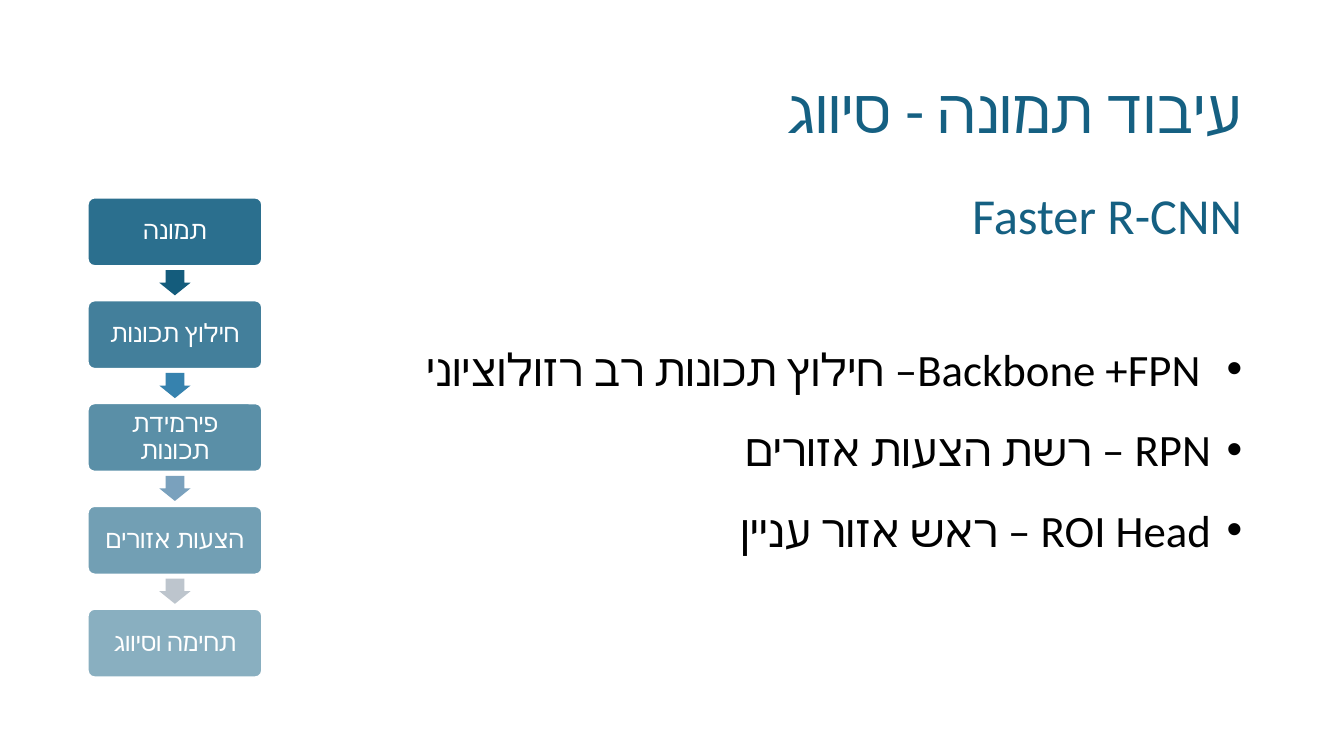
import pptx
import pptx.util
import pptx.dml.color
import pptx.enum.shapes
import pptx.enum.text
import pptx.oxml.ns
import lxml.etree

TITLE = "עיבוד תמונה - סיווג"
SUBTITLE = "Faster R-CNN"
BULLETS = [
    " Backbone +FPN– חילוץ תכונות רב רזולוציוני",
    "RPN – רשת הצעות אזורים",
    "ROI Head – ראש אזור עניין",
]
STAGES = ["תמונה", "חילוץ תכונות", "פירמידת תכונות", "הצעות אזורים", "תחימה וסיווג"]
ARROW_COLORS = ["145C7C", "3682AE", "7AA1BD", "BDC5CD"]
COLORS = {"teal": "156082", "white": "FFFFFF", "black": "000000"}

PX = 9144
STAGE_LEFT, STAGE_TOP, STAGE_WIDTH, STAGE_HEIGHT, STAGE_PITCH = 87, 196, 173, 68, 102
ARROW_WIDTH, ARROW_HEIGHT = 31, 25

SHAPES = pptx.enum.shapes.MSO_SHAPE
ALIGN = pptx.enum.text.PP_ALIGN
ANCHOR = pptx.enum.text.MSO_ANCHOR
qn = pptx.oxml.ns.qn


def px(*lengths):
    return [pptx.util.Emu(length * PX) for length in lengths]


def rgb(value):
    return pptx.dml.color.RGBColor.from_string(value)


def write(box, lines, *, size, color, font="Calibri", align=ALIGN.RIGHT,
          anchor=ANCHOR.MIDDLE, spacing=0.9, bullet=None, inset=None):
    frame = box.text_frame
    frame.word_wrap = True
    frame.vertical_anchor = anchor
    if inset is not None:
        frame.margin_left, frame.margin_top, frame.margin_right, frame.margin_bottom = px(*[inset] * 4)
    for index, line in enumerate(lines):
        para = frame.add_paragraph() if index else frame.paragraphs[0]
        para.alignment = align
        para.line_spacing = spacing
        properties = para._p.get_or_add_pPr()
        properties.set("rtl", "1")
        if bullet:
            properties.set("marL", str(31 * PX))
            properties.set("indent", str(-31 * PX))
            lxml.etree.SubElement(properties, qn("a:buFont")).set("typeface", "Arial")
            lxml.etree.SubElement(properties, qn("a:buChar")).set("char", bullet)
        span = para.add_run()
        span.text = line
        span.font.size = pptx.util.Pt(size)
        span.font.name = font
        span.font.color.rgb = rgb(color)
        lxml.etree.SubElement(span._r.get_or_add_rPr(), qn("a:cs")).set("typeface", font)


def add_shape(page, kind, place, color, adjustments):
    shape = page.shapes.add_shape(kind, *px(*place))
    shape.shadow.inherit = False
    shape.fill.solid()
    shape.fill.fore_color.rgb = rgb(color)
    shape.line.fill.background()
    for index, value in enumerate(adjustments):
        shape.adjustments[index] = value
    return shape


def add_stage(page, index, label):
    top = STAGE_TOP + index * STAGE_PITCH
    stage = add_shape(page, SHAPES.ROUNDED_RECTANGLE,
                      (STAGE_LEFT, top, STAGE_WIDTH, STAGE_HEIGHT), COLORS["teal"], [0.1])
    fill_color = stage.fill._xPr.find(qn("a:solidFill"))[0]
    lxml.etree.SubElement(fill_color, qn("a:alpha")).set("val", str(90000 - 10000 * index))
    stage.line.color.rgb = rgb(COLORS["white"])
    stage.line.width = pptx.util.Pt(1.5)
    write(stage, [label], size=18, color=COLORS["white"], font="Cabin", align=ALIGN.CENTER, inset=9)


def add_arrow(page, index, color):
    gap = STAGE_PITCH - STAGE_HEIGHT
    left = STAGE_LEFT + (STAGE_WIDTH - ARROW_WIDTH) // 2
    top = STAGE_TOP + index * STAGE_PITCH + STAGE_HEIGHT + (gap - ARROW_HEIGHT) // 2
    add_shape(page, SHAPES.DOWN_ARROW, (left, top, ARROW_WIDTH, ARROW_HEIGHT), color, [0.6, 0.5])


def main():
    deck = pptx.Presentation()
    deck.slide_width, deck.slide_height = px(1333, 750)
    page = deck.slides.add_slide(deck.slide_layouts[6])

    subtitle = page.shapes.add_textbox(*px(92, 162, 1150, 108))
    write(subtitle, [SUBTITLE], size=36, color=COLORS["teal"])
    for index, label in enumerate(STAGES):
        add_stage(page, index, label)
    for index, color in enumerate(ARROW_COLORS):
        add_arrow(page, index, color)
    bullets = page.shapes.add_textbox(*px(383, 307, 859, 244))
    write(bullets, BULLETS, size=32, color=COLORS["black"], anchor=ANCHOR.TOP, spacing=1.5, bullet="•")
    title = page.shapes.add_textbox(*px(92, 40, 1150, 145))
    write(title, [TITLE], size=44, color=COLORS["teal"])

    deck.save("out.pptx")


if __name__ == "__main__":
    main()
